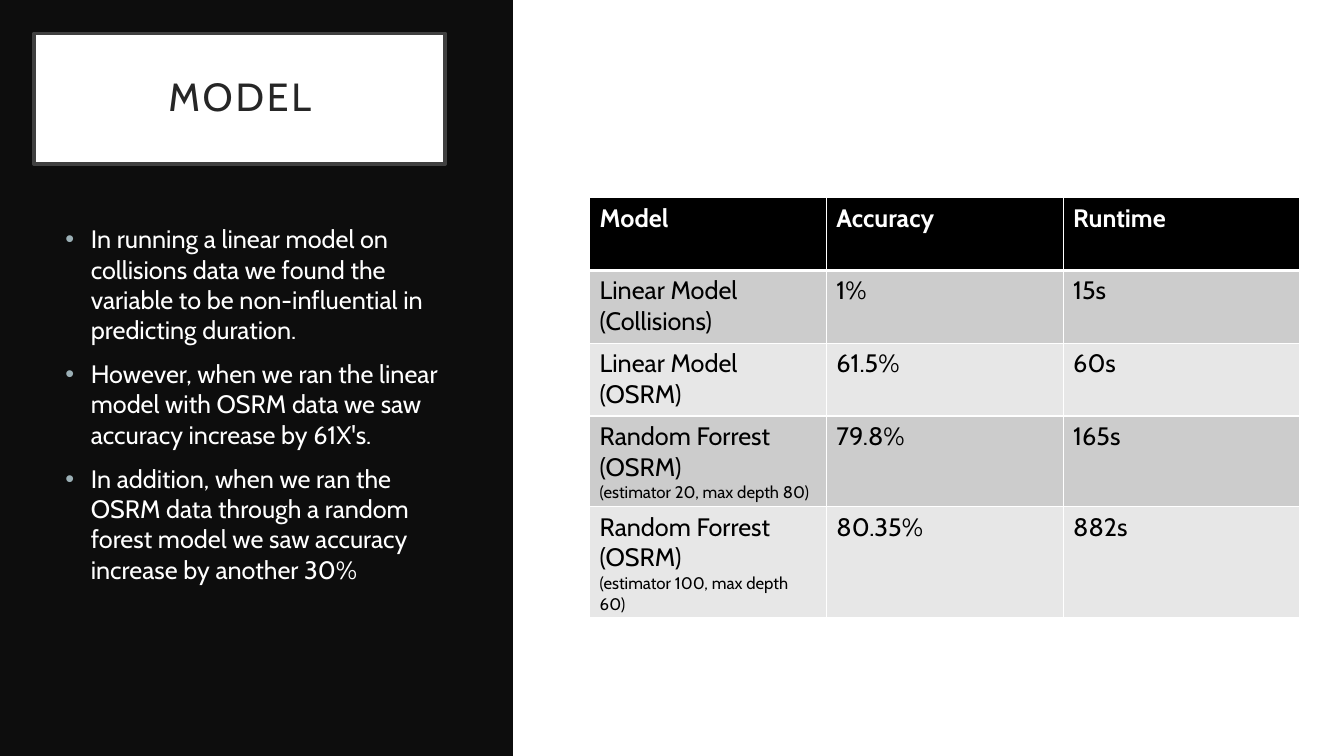
"""Build the slide that compares the models."""
from dataclasses import dataclass

from lxml.etree import SubElement
from pptx import Presentation
from pptx.dml.color import RGBColor
from pptx.enum.shapes import MSO_SHAPE
from pptx.enum.text import MSO_ANCHOR, PP_ALIGN
from pptx.oxml.ns import qn
from pptx.util import Cm, Pt


@dataclass(frozen=True)
class Theme:
    """Hold the colours, type sizes and font."""
    face: str = "Cabin"
    dark: str = "0D0D0D"
    white: str = "FFFFFF"
    black: str = "000000"
    frame: str = "404040"
    ink: str = "262626"
    dot: str = "9BAFB5"
    bands: tuple = ("CCCCCC", "E7E7E7")
    head: int = 28
    text: int = 18
    note: int = 12


THEME = Theme()
POINTS = [
    "In running a linear model on collisions data we found the variable to be non-influential in predicting duration.",
    "However, when we ran the linear model with OSRM data we saw accuracy increase by 61X's.",
    "In addition, when we ran the OSRM data through a random forest model we saw accuracy increase by another 30%",
]
ROWS = [
    ("Model", "Accuracy", "Runtime"),
    ("Linear Model (Collisions)", "1%", "15s"),
    ("Linear Model (OSRM)", "61.5%", "60s"),
    ("Random Forrest (OSRM)\n(estimator 20, max depth 80)", "79.8%", "165s"),
    ("Random Forrest (OSRM)\n(estimator 100, max depth 60)", "80.35%", "882s"),
]


def apply(item, form):
    """Set each format value on the item."""
    for name, value in form.items():
        setattr(item, name, value)


def paint(fill, tone):
    """Give a fill one solid colour."""
    fill.solid()
    fill.fore_color.rgb = RGBColor.from_string(tone)


def write(para, text, size, tone, bold=False):
    """Put one styled run in a paragraph."""
    run = para.add_run()
    run.text = text
    apply(run.font, {"name": THEME.face, "size": Pt(size), "bold": bold})
    run.font.color.rgb = RGBColor.from_string(tone)
    return run


def add_block(slide, box, tone):
    """Add a plain filled rectangle."""
    block = slide.shapes.add_shape(MSO_SHAPE.RECTANGLE, *map(Cm, box))
    block.shadow.inherit = False
    paint(block.fill, tone)
    block.line.fill.background()
    return block


def add_title(slide, box, text):
    """Add the framed title."""
    block = add_block(slide, box, THEME.white)
    paint(block.line.fill, THEME.frame)
    block.line.width = Pt(2.5)
    frame = block.text_frame
    sides = ("left", "top", "right", "bottom")
    apply(frame, {f"margin_{side}": Cm(0.51) for side in sides})
    apply(frame, {"word_wrap": True, "vertical_anchor": MSO_ANCHOR.MIDDLE})
    para = frame.paragraphs[0]
    apply(para, {"alignment": PP_ALIGN.CENTER, "line_spacing": 0.9})
    run = write(para, text, THEME.head, THEME.ink)
    run.font._element.set("spc", "200")


def add_list(slide, box, points):
    """Add the bulleted text."""
    frame = slide.shapes.add_textbox(*map(Cm, box)).text_frame
    frame.word_wrap = True
    for spot, point in enumerate(points):
        para = frame.add_paragraph() if spot else frame.paragraphs[0]
        para.space_before = Pt(10)
        props = para._p.get_or_add_pPr()
        props.set("marL", str(Cm(0.64)))
        props.set("indent", str(-Cm(0.64)))
        tint = SubElement(props, qn("a:buClr"))
        SubElement(tint, qn("a:srgbClr"), val=THEME.dot)
        SubElement(props, qn("a:buFont"), typeface="Arial")
        SubElement(props, qn("a:buChar"), char="•")
        write(para, point, THEME.text, THEME.white)


def add_edges(cell, base):
    """Draw white borders round a cell."""
    props = cell._tc.get_or_add_tcPr()
    for side, width in zip("LRTB", (1, 1, 1, base)):
        edge = SubElement(props, qn(f"a:ln{side}"), w=str(Pt(width)))
        fill = SubElement(edge, qn("a:solidFill"))
        SubElement(fill, qn("a:srgbClr"), val=THEME.white)


def fill_cell(cell, text, row):
    """Style one cell and write its lines."""
    top = row == 0
    add_edges(cell, 3 if top else 1)
    paint(cell.fill, THEME.black if top else THEME.bands[(row - 1) % 2])
    for spot, line in enumerate(text.split("\n")):
        frame = cell.text_frame
        para = frame.add_paragraph() if spot else frame.paragraphs[0]
        size = THEME.note if spot else THEME.text
        write(para, line, size, THEME.white if top else THEME.black, top)


def add_grid(slide, box, rows):
    """Add the table of results."""
    shape = slide.shapes.add_table(len(rows), len(rows[0]), *map(Cm, box))
    for row, texts in enumerate(rows):
        for col, text in enumerate(texts):
            fill_cell(shape.table.cell(row, col), text, row)


def main():
    """Build and save the deck."""
    deck = Presentation()
    apply(deck, {"slide_width": Cm(33.87), "slide_height": Cm(19.05)})
    slide = deck.slides.add_slide(deck.slide_layouts[6])
    add_block(slide, (0, 0, 12.93, 19.05), THEME.dark)
    add_title(slide, (0.86, 0.84, 10.36, 3.3), "MODEL")
    add_list(slide, (1.4, 5.51, 10.34, 11.3), POINTS)
    add_grid(slide, (14.86, 4.98, 17.9, 9.17), ROWS)
    deck.save("out.pptx")


if __name__ == "__main__":
    main()
